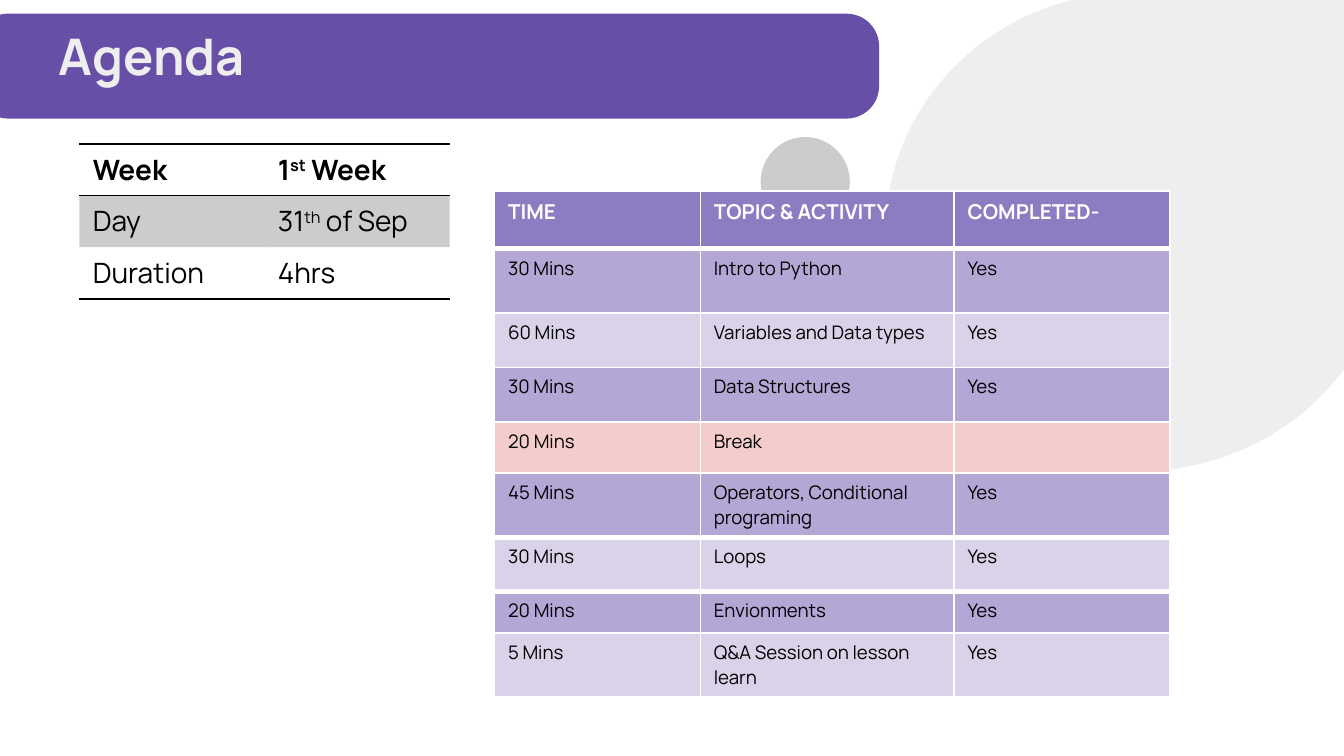
from dataclasses import dataclass

from lxml import etree
from pptx import Presentation
from pptx.dml.color import RGBColor
from pptx.enum import shapes, text
from pptx.oxml import ns
from pptx.util import Pt


@dataclass(frozen=True)
class Theme:
    """Hold the colours and type sizes of the slide."""
    font: str = "Manrope"
    title: str = "EEEEEE"
    banner: str = "674EA7"
    pale: str = "EEEEEE"
    grey: str = "CCCCCC"
    ink: str = "000000"
    white: str = "FFFFFF"
    header: str = "8E7CC3"
    strong: str = "B4A7D6"
    light: str = "D9D2E9"
    rest: str = "F4CCCC"
    title_size: float = 27
    week_size: float = 15
    header_size: float = 11
    body_size: float = 10


THEME = Theme()
WEEK = [
    (["Week"], ["1", "st", " Week"]),
    (["Day"], ["31", "th", " of Sep"]),
    (["Duration"], ["4hrs"]),
]
AGENDA = [
    (31, THEME.header, "TIME", "TOPIC & ACTIVITY", "COMPLETED-"),
    (34.3, THEME.strong, "30 Mins", "Intro to Python", "Yes"),
    (29.2, THEME.light, "60 Mins", "Variables and Data types", "Yes"),
    (29.2, THEME.strong, "30 Mins", "Data Structures", "Yes"),
    (27.3, THEME.rest, "20 Mins", "Break", ""),
    (34.5, THEME.strong, "45 Mins", "Operators, Conditional programing", "Yes"),
    (29, THEME.light, "30 Mins", "Loops", "Yes"),
    (22.2, THEME.strong, "20 Mins", "Envionments", "Yes"),
    (34, THEME.light, "5 Mins", "Q&A Session on lesson learn", "Yes"),
]
THICK_AFTER = {0, 5, 6}


def set_values(target, values):
    """Set each named attribute on the target."""
    for name, value in values.items():
        setattr(target, name, value)


def add_shape(slide, kind, box, color, adjustment=None):
    """Add a plain filled preset shape."""
    shape = slide.shapes.add_shape(kind, *map(Pt, box))
    shape.shadow.inherit = False
    shape.fill.solid()
    shape.fill.fore_color.rgb = RGBColor.from_string(color)
    shape.line.fill.background()
    if adjustment is not None:
        shape.adjustments[0] = adjustment


def write_runs(paragraph, parts, size, color, bold=False):
    """Write text parts, raising every second one as a superscript."""
    for index, part in enumerate(parts):
        run = paragraph.add_run()
        run.text = part
        set_values(run.font, {"name": THEME.font, "size": Pt(size), "bold": bold})
        run.font.color.rgb = RGBColor.from_string(color)
        if index % 2:
            run.font._element.set("baseline", "30000")


def add_title(slide, wording):
    """Add the slide title."""
    box = slide.shapes.add_textbox(Pt(24.5), Pt(6.5), Pt(671), Pt(45))
    margins = {f"margin_{side}": Pt(7.2) for side in ("left", "top", "right", "bottom")}
    set_values(box.text_frame, {
        "word_wrap": True, "vertical_anchor": text.MSO_ANCHOR.TOP, **margins})
    write_runs(box.text_frame.paragraphs[0], [wording],
               THEME.title_size, THEME.title, True)


def add_table(slide, left, top, widths, heights):
    """Add a table without style options and return it."""
    frame = slide.shapes.add_table(
        len(heights), len(widths), Pt(left), Pt(top), Pt(sum(widths)), Pt(sum(heights)))
    table = frame.table
    set_values(table, {"first_row": False, "horz_banding": False})
    for column, width in zip(table.columns, widths):
        column.width = Pt(width)
    for row, height in zip(table.rows, heights):
        row.height = Pt(height)
    return table


def set_borders(cell, color, widths):
    """Draw left, right, top and bottom borders, hiding those of zero width."""
    properties = cell._tc.get_or_add_tcPr()
    for side, width in zip("LRTB", widths):
        line = etree.SubElement(properties, ns.qn(f"a:ln{side}"), w=str(Pt(width)))
        if width:
            fill = etree.SubElement(line, ns.qn("a:solidFill"))
            etree.SubElement(fill, ns.qn("a:srgbClr"), val=color)
        else:
            etree.SubElement(line, ns.qn("a:noFill"))


def fill_cell(cell, color, alpha=None):
    """Fill a cell, with an optional opacity in percent."""
    cell.fill.solid()
    cell.fill.fore_color.rgb = RGBColor.from_string(color)
    if alpha is not None:
        value = cell._tc.tcPr.find(".//" + ns.qn("a:solidFill") + "[last()]")
        value = cell._tc.tcPr.findall(ns.qn("a:solidFill"))[0][0]
        etree.SubElement(value, ns.qn("a:alpha"), val=str(alpha * 1000))


def add_week_table(slide):
    """Add the week overview with ruled rows."""
    table = add_table(slide, 42.5, 77, [99.2] * 2, [27.7] * len(WEEK))
    rules = [1, 1, 0, 1]
    for row, values in enumerate(WEEK):
        for column, parts in enumerate(values):
            cell = table.cell(row, column)
            set_borders(cell, THEME.ink, (0, 0, rules[row], rules[row + 1]))
            if row == 1:
                fill_cell(cell, THEME.ink, 20)
            else:
                cell.fill.background()
            write_runs(cell.text_frame.paragraphs[0], parts,
                       THEME.week_size, THEME.ink, row == 0)


def add_agenda_table(slide):
    """Add the timed agenda with coloured rows."""
    table = add_table(slide, 265, 102.4, [110.2, 136, 115.6], [row[0] for row in AGENDA])
    for row, (_, color, *values) in enumerate(AGENDA):
        heading = row == 0
        size = THEME.header_size if heading else THEME.body_size
        edges = [3 if index in THICK_AFTER else 1 for index in (row - 1, row)]
        for column, value in enumerate(values):
            cell = table.cell(row, column)
            set_borders(cell, THEME.white, (1, 1, *edges))
            fill_cell(cell, color)
            paragraph = cell.text_frame.paragraphs[0]
            if value:
                write_runs(paragraph, [value], size,
                           THEME.white if heading else THEME.ink, heading)
            else:
                etree.SubElement(paragraph._p, ns.qn("a:endParaRPr"), sz=str(size * 100))


def main():
    """Build and save the agenda slide."""
    presentation = Presentation()
    set_values(presentation, {"slide_width": Pt(720), "slide_height": Pt(405)})
    slide = presentation.slides.add_slide(presentation.slide_layouts[6])
    kinds = shapes.MSO_SHAPE
    add_shape(slide, kinds.TEAR, (474.5, -4.5, 270, 257), THEME.pale, 0.98)
    add_shape(slide, kinds.OVAL, (407.5, 73.4, 47.8, 48), THEME.grey)
    add_shape(slide, kinds.ROUNDED_RECTANGLE, (-13, 7.3, 484, 56.2), THEME.banner, 0.31)
    add_title(slide, "Agenda")
    add_week_table(slide)
    add_agenda_table(slide)
    presentation.save("out.pptx")


if __name__ == "__main__":
    main()
